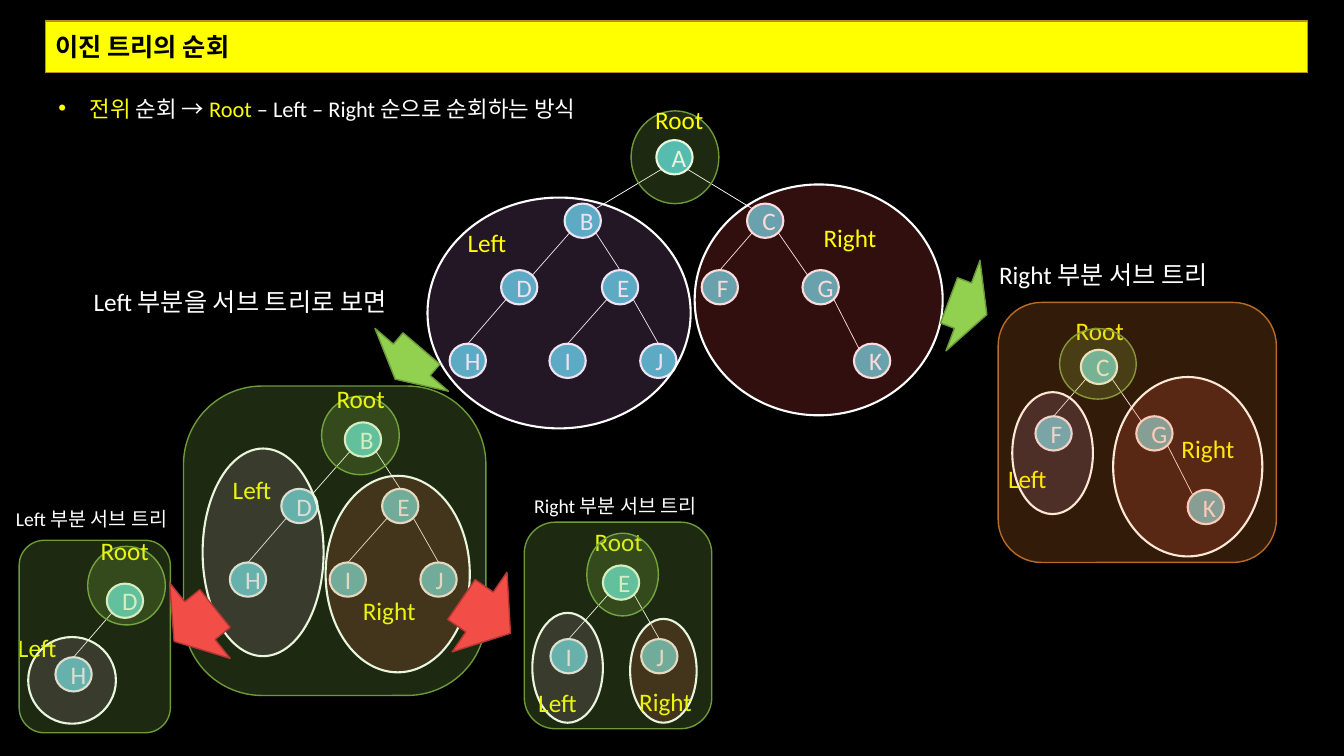
from lxml import etree
from pptx import Presentation
from pptx.dml.color import RGBColor
from pptx.enum.shapes import MSO_CONNECTOR, MSO_SHAPE
from pptx.enum.text import MSO_ANCHOR, MSO_AUTO_SIZE, PP_ALIGN
from pptx.oxml.ns import qn
from pptx.util import Inches, Pt

BLACK = RGBColor(0x00, 0x00, 0x00)
WHITE = RGBColor(0xFF, 0xFF, 0xFF)
YELLOW = RGBColor(0xFF, 0xFF, 0x00)
GOLD = RGBColor(0xB7, 0x90, 0x24)
TEAL = RGBColor(0x47, 0xB8, 0xC7)
LIME = RGBColor(0x92, 0xD0, 0x50)
MOSS = RGBColor(0x6C, 0x9A, 0x3B)
PLUM = RGBColor(0xB0, 0x74, 0xBA)
RED = RGBColor(0xF3, 0x4D, 0x47)
WINE = RGBColor(0xB4, 0x39, 0x35)
AMBER = RGBColor(0xFA, 0x8F, 0x30)
BROWN = RGBColor(0xB9, 0x6A, 0x24)

OVAL = MSO_SHAPE.OVAL
ROUND = MSO_SHAPE.ROUNDED_RECTANGLE
ARROW = MSO_SHAPE.DOWN_ARROW
BOX = MSO_SHAPE.RECTANGLE
LINE = MSO_CONNECTOR.STRAIGHT
LEFT, CENTER = PP_ALIGN.LEFT, PP_ALIGN.CENTER
TOP, MIDDLE = MSO_ANCHOR.TOP, MSO_ANCHOR.MIDDLE
GROW, FIXED = MSO_AUTO_SIZE.SHAPE_TO_FIT_TEXT, MSO_AUTO_SIZE.NONE

LARGE = {"name": "Calibri", "size": Pt(18)}
MEDIUM = {"name": "Calibri", "size": Pt(16)}
SMALL = {"name": "Calibri", "size": Pt(14)}
BOLD = {**LARGE, "bold": True}

ZONES = {
    "root": (OVAL, LIME, MOSS, 1),
    "left": (OVAL, PLUM, WHITE, 1.5),
    "right": (OVAL, RED, WHITE, 1.5),
    "panel": (ROUND, LIME, MOSS, 1),
    "amber": (ROUND, AMBER, BROWN, 1),
}

NODES = {
    "A": (6.51, 1.39), "B": (5.6, 2.02), "C": (7.41, 2.02),
    "D": (4.97, 2.68), "E": (5.97, 2.68), "F": (6.96, 2.68), "G": (7.96, 2.68),
    "H": (4.46, 3.41), "I": (5.45, 3.41), "J": (6.35, 3.41), "K": (8.47, 3.41),
}
KIDS = {"A": "BC", "B": "DE", "C": "FG", "D": "H", "E": "IJ", "G": "K"}
LEFTS = "BDFHI"
SIDES = "BCDGK"

STEPS = [
    ("A", 0, 0, [
        ("root", 6.26, 1.1, 0.87, 0.92), ("left", 4.24, 1.96, 2.61, 2.29),
        ("right", 6.89, 1.83, 2.46, 2.29), ("Root", 6.4, 0.99, 0.97, 0.4),
        ("Left", 4.54, 2.21, 0.97, 0.4), ("Right", 8.07, 2.16, 0.97, 0.4)]),
    ("B", -2.18, 2.17, [
        ("left", 2.01, 4.45, 1.2, 2.06), ("Left", 2.21, 4.66, 0.97, 0.4),
        ("root", 3.19, 3.93, 0.77, 0.78), ("Root", 3.24, 3.75, 0.97, 0.4),
        ("right", 3.23, 4.72, 1.43, 1.95), ("Right", 3.5, 5.86, 0.78, 0.4)]),
    ("D", -3.91, 3.11, [
        ("left", 0.28, 6.32, 0.87, 0.86), ("Left", 0.08, 6.22, 0.97, 0.4),
        ("root", 0.87, 5.42, 0.77, 0.78), ("Root", 0.9, 5.26, 0.97, 0.4)]),
    (LIME, MOSS, 40.5, (3.57, 3.41, 0.96, 0.4)),
    ("panel", 1.82, 3.83, 3, 3.07),
    ("panel", 0.19, 5.36, 1.5, 1.91),
    ("Left 부분을 서브 트리로 보면", LARGE, (0.83, 2.79, 3.49, 0.4)),
    ("Left 부분 서브 트리", SMALL, (0.06, 4.98, 3.49, 0.34)),
    ("C", 3.31, 1.45, [
        ("right", 11.04, 3.74, 1.48, 1.78), ("Root", 10.57, 3.08, 0.97, 0.4),
        ("Right", 11.62, 4.25, 0.97, 0.4), ("left", 10.04, 3.89, 0.8, 1.21),
        ("Left", 9.9, 4.55, 0.97, 0.4), ("root", 10.51, 3.26, 0.76, 0.7),
        ("amber", 9.9, 3, 2.76, 2.58)]),
    (LIME, MOSS, 290.6, (9.12, 2.85, 0.96, 0.4)),
    ("Right 부분 서브 트리", LARGE, (9.81, 2.52, 3.49, 0.4)),
    ("E", 0.01, 2.93, [
        ("Root", 5.8, 5.17, 0.97, 0.4), ("right", 6.25, 6.14, 0.66, 1.03),
        ("Right", 6.24, 6.76, 0.78, 0.4), ("root", 5.82, 5.29, 0.71, 0.82),
        ("left", 5.28, 6.08, 0.7, 1.09), ("Left", 5.24, 6.77, 0.97, 0.4),
        ("panel", 5.2, 5.18, 1.86, 2.05)]),
    ("Right 부분 서브 트리", SMALL, (5.2, 4.85, 2.06, 0.33)),
    (RED, WINE, 51.3, (1.45, 5.94, 0.96, 0.52)),
    (RED, WINE, 304.5, (4.34, 5.82, 0.96, 0.59)),
]


def draw(home, kind, box, fill, edge, width, alpha=None):
    shape = home.add_shape(kind, *map(Inches, box))
    shape.shadow.inherit = False
    shape.fill.solid()
    shape.fill.fore_color.rgb = fill
    if alpha:
        tint = shape.element.spPr.find(".//" + qn("a:srgbClr"))
        etree.SubElement(tint, qn("a:alpha"), val=str(alpha * 1000))
    shape.line.color.rgb = edge
    shape.line.width = Pt(width)
    return shape


def write(shape, runs, style, align=LEFT, anchor=TOP, size=FIXED):
    frame = shape.text_frame
    frame.word_wrap, frame.auto_size = True, size
    frame.vertical_anchor = anchor
    para = frame.paragraphs[0]
    para.alignment = align
    for text, ink in runs:
        run = para.add_run()
        run.text = text
        run.font.color.rgb = ink
        for key, value in style.items():
            setattr(run.font, key, value)
    return para


deck = Presentation()
deck.slide_width, deck.slide_height = Inches(13.33), Inches(7.5)
slide = deck.slides.add_slide(deck.slide_layouts[5])
slide.background.fill.solid()
slide.background.fill.fore_color.rgb = BLACK
board = slide.shapes

body = draw(board, BOX, (0.48, 0.76, 12.48, 6.46), BLACK, BLACK, 1)
para = write(body, [("전위", YELLOW), (" 순회 → ", WHITE), ("Root", YELLOW),
                    (" – Left – Right 순으로 순회하는 방식", WHITE)], MEDIUM)
props = para._p.get_or_add_pPr()
props.set("marL", str(Inches(0.31)))
props.set("indent", str(-Inches(0.31)))
etree.SubElement(props, qn("a:buFont"), typeface="Arial")
etree.SubElement(props, qn("a:buChar"), char="•")
para.line_spacing = 1.5

title = board.title
title.left, title.top, title.width, title.height = map(Inches, (0.45, 0.21, 12.52, 0.51))
etree.SubElement(title.element.spPr, qn("a:prstGeom"), prst="roundRect")
title.fill.solid()
title.fill.fore_color.rgb = YELLOW
title.line.color.rgb = GOLD
title.line.width = Pt(1)
write(title, [("이진 트리의 순회", BLACK)], BOLD, anchor=MIDDLE)

for step in STEPS:
    if step[0] in ZONES:
        kind, fill, edge, width = ZONES[step[0]]
        panel = draw(board, kind, step[1:], fill, edge, width, 20)
        if step[3] == 3:
            panel.adjustments[0] = 0.26
    elif step[0] in (LIME, RED):
        fill, edge, turn, box = step
        arrow = draw(board, ARROW, box, fill, edge, 1)
        arrow.rotation = turn
        arrow.adjustments[0], arrow.adjustments[1] = 0.5, 0.63
    elif step[0] not in NODES:
        text, style, box = step
        write(board.add_textbox(*map(Inches, box)), [(text, WHITE)], style, size=GROW)
    else:
        root, right, down, parts = step
        group = board.add_group_shape().shapes
        names = [root]
        for name in names:
            names += KIDS.get(name, "")
        spots = {name: (NODES[name][0] + right, NODES[name][1] + down) for name in names}
        for name, (x, y) in spots.items():
            node = draw(group, OVAL, (x, y, 0.36, 0.34), TEAL, WHITE, 1.5)
            write(node, [(name, WHITE)], LARGE, CENTER, MIDDLE)
        for name, (x, y) in spots.items():
            for kid in KIDS.get(name, ""):
                start, end = (0.05, 0.31) if kid in LEFTS else (0.31, 0.05)
                shift, drop = (end, 0.05) if kid in SIDES else (0.18, 0)
                ends = (x + start, y + 0.29, spots[kid][0] + shift, spots[kid][1] + drop)
                link = group.add_connector(LINE, *map(Inches, ends))
                link.line.color.rgb = WHITE
                link.line.width = Pt(0.5)
                etree.SubElement(link._element.spPr, qn("a:effectLst"))
        for word, *box in parts:
            if word in ZONES:
                kind, fill, edge, width = ZONES[word]
                draw(group, kind, box, fill, edge, width, 20)
            else:
                label = group.add_textbox(*map(Inches, box))
                write(label, [(word, YELLOW)], LARGE, size=GROW)

deck.save("out.pptx")
